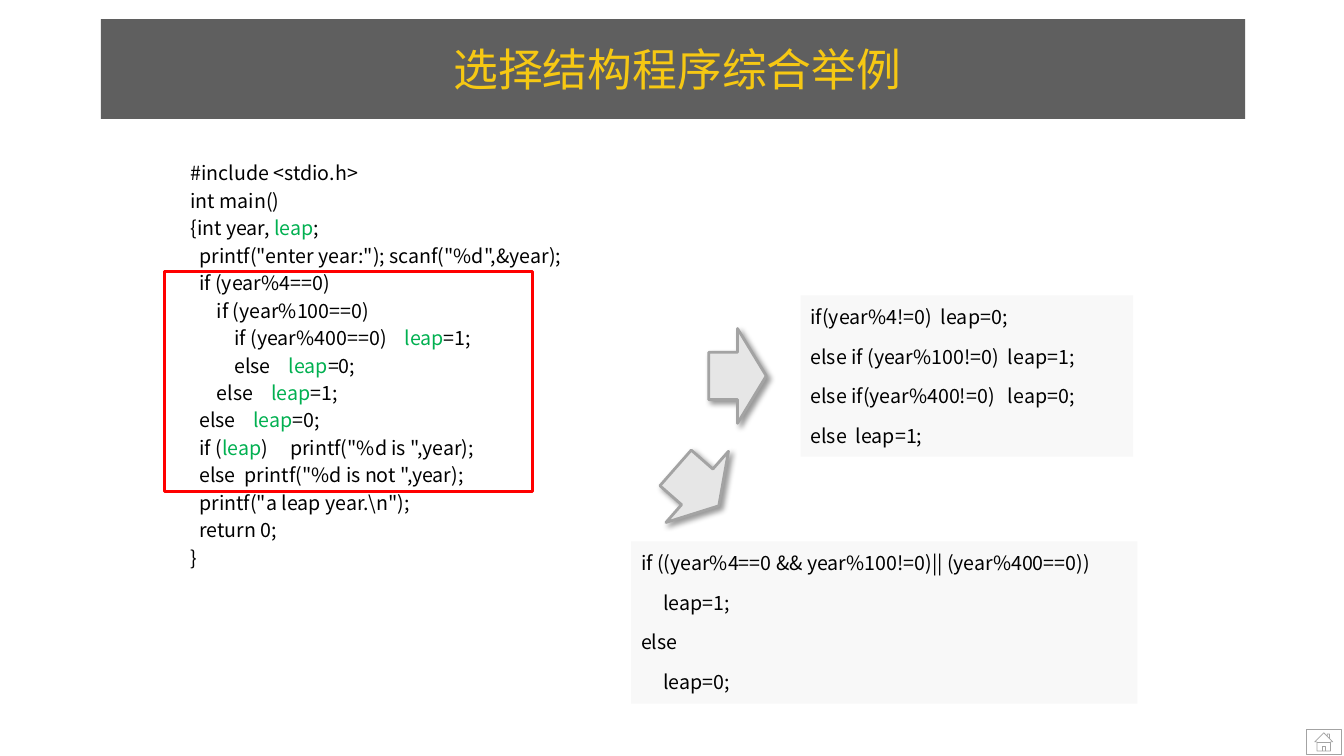
from pptx import Presentation
from pptx.dml.color import RGBColor
from pptx.enum.shapes import MSO_SHAPE
from pptx.enum.text import MSO_ANCHOR, MSO_AUTO_SIZE, PP_ALIGN
from pptx.oxml import parse_xml
from pptx.oxml.ns import nsdecls
from pptx.util import Inches, Pt

COLOURS = {
    "banner": "5F5F5F", "title": "F6C813", "code": "000000", "variable": "00B050",
    "frame": "FF0000", "panel": "F8F8F8", "arrow": "E6E6E6", "outline": "A3A3A3",
}
CODE_FONT = "Noto Sans CJK SC"

# ~ switches the variable colour on and off
PROGRAM = r'''#include <stdio.h>
int main()
{int year, ~leap~;
  printf("enter year:"); scanf("%d",&year);
  if (year%4==0)
      if (year%100==0)
          if (year%400==0)    ~leap~=1;
          else    ~leap~=0;
      else    ~leap~=1;
  else    ~leap~=0;
  if (~leap~)     printf("%d is ",year);
  else  printf("%d is not ",year);
  printf("a leap year.\n");
  return 0;
}'''
CHAIN = '''if(year%4!=0)  leap=0;
else if (year%100!=0)  leap=1;
else if(year%400!=0)   leap=0;
else  leap=1;'''
CONDITION = '''if ((year%4==0 && year%100!=0)|| (year%400==0))
     leap=1;
else
     leap=0;'''


def add_box(kind, place, fill=None, line=None, width=1):
    box = page.shapes.add_shape(kind, *[Inches(value) for value in place])
    box.shadow.inherit = False
    if fill:
        box.fill.solid()
        box.fill.fore_color.rgb = RGBColor.from_string(COLOURS[fill])
    else:
        box.fill.background()
    if line:
        box.line.color.rgb = RGBColor.from_string(COLOURS[line])
        box.line.width = Pt(width)
    else:
        box.line.fill.background()
    return box


def write_code(box, code, spacing):
    frame = box.text_frame
    frame.word_wrap = True
    frame.vertical_anchor = MSO_ANCHOR.TOP
    for index, row in enumerate(code.split("\n")):
        para = frame.add_paragraph() if index else frame.paragraphs[0]
        for name, value in spacing.items():
            if index or name != "space_before":
                setattr(para, name, value)
        for part, words in enumerate(row.split("~")):
            span = para.add_run()
            span.text = words
            for name, value in {"name": CODE_FONT, "size": Pt(14)}.items():
                setattr(span.font, name, value)
            colour = "variable" if part % 2 else "code"
            span.font.color.rgb = RGBColor.from_string(COLOURS[colour])


deck = Presentation()
deck.slide_width, deck.slide_height = Inches(13.33), Inches(7.5)
page = deck.slides.add_slide(deck.slide_layouts[5])

# Home button
add_box(MSO_SHAPE.ACTION_BUTTON_HOME, (12.96, 7.24, 0.34, 0.24), line="outline", width=0.5)

# Title banner
title = page.shapes.title
banner = {"left": 1, "top": 0.19, "width": 11.35, "height": 0.99}
for name, value in banner.items():
    setattr(title, name, Inches(value))
title.fill.solid()
title.fill.fore_color.rgb = RGBColor.from_string(COLOURS["banner"])
title.text = "选择结构程序综合举例"
frame_format = {"auto_size": MSO_AUTO_SIZE.NONE, "vertical_anchor": MSO_ANCHOR.MIDDLE,
                "margin_left": Inches(0.19)}
for name, value in frame_format.items():
    setattr(title.text_frame, name, value)
para = title.text_frame.paragraphs[0]
para.alignment = PP_ALIGN.CENTER
for name, value in {"name": "Arial", "size": Pt(32)}.items():
    setattr(para.runs[0].font, name, value)
para.runs[0].font.color.rgb = RGBColor.from_string(COLOURS["title"])

# Complete program with the nested selection framed
program = page.shapes.add_textbox(Inches(1.79), Inches(1.55), Inches(9.75), Inches(5.22))
write_code(program, PROGRAM, {"space_before": Pt(2.8)})
add_box(MSO_SHAPE.RECTANGLE, (1.63, 2.69, 3.65, 2.19), line="frame", width=2.25)

# Two equivalent rewrites
panel_spacing = {"alignment": PP_ALIGN.LEFT, "line_spacing": 1.2, "space_before": Pt(8.2)}
for code, place in ((CHAIN, (7.94, 2.93, 3.3, 1.6)), (CONDITION, (6.26, 5.37, 5.02, 1.61))):
    panel = add_box(MSO_SHAPE.RECTANGLE, place, fill="panel")
    write_code(panel, code, panel_spacing)

# Arrows to the rewrites, each with a soft shadow
for left, top, angle in ((7.03, 3.26, 0), (6.63, 4.36, 41.3)):
    arrow = add_box(MSO_SHAPE.RIGHT_ARROW, (left, top, 0.57, 0.94), "arrow", "outline", 2)
    arrow.rotation = angle
    effects = arrow.element.spPr.find("{*}effectLst")
    effects.append(parse_xml(
        f'<a:outerShdw {nsdecls("a")} blurRad="{Pt(4)}" dist="{Pt(3)}" dir="2700000"'
        ' algn="tl" rotWithShape="0"><a:srgbClr val="000000"><a:alpha val="40000"/>'
        '</a:srgbClr></a:outerShdw>'))

deck.save("out.pptx")
